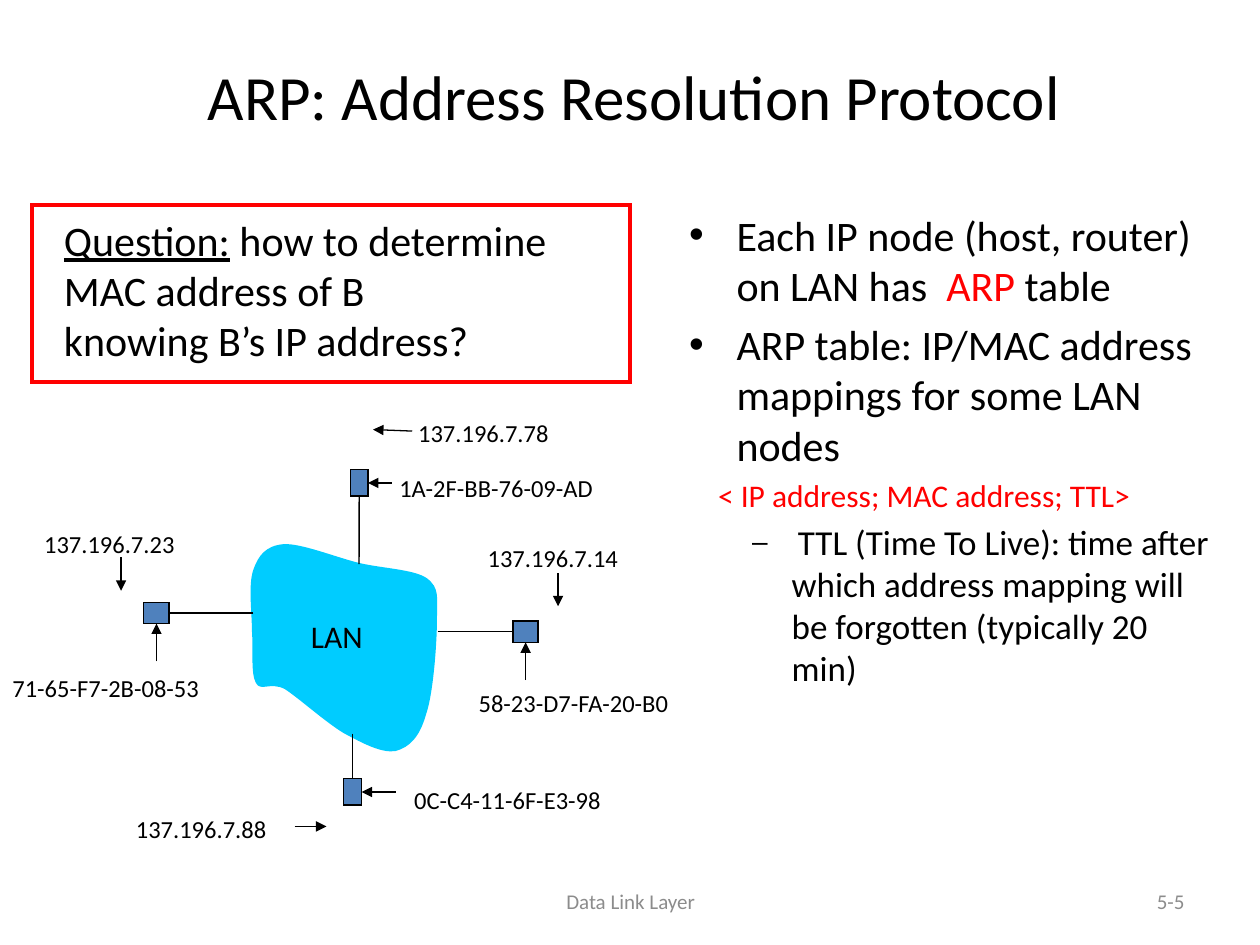
from lxml import etree
from pptx import Presentation
from pptx.dml.color import RGBColor
from pptx.enum.shapes import MSO_CONNECTOR, MSO_SHAPE
from pptx.enum.text import MSO_ANCHOR, MSO_AUTO_SIZE, PP_ALIGN
from pptx.oxml.ns import qn
from pptx.util import Cm, Pt

STRAIGHT = MSO_CONNECTOR.STRAIGHT
RECTANGLE = MSO_SHAPE.RECTANGLE
TOP, MIDDLE = MSO_ANCHOR.TOP, MSO_ANCHOR.MIDDLE
NO_AUTOFIT = MSO_AUTO_SIZE.NONE
LEFT, CENTER, RIGHT = PP_ALIGN.LEFT, PP_ALIGN.CENTER, PP_ALIGN.RIGHT

FONT = "Calibri"
BLACK, RED, GREY = "000000", "FF0000", "8C8C8C"
NODE_BLUE, LAN_CYAN = "4F81BD", "00CCFF"
SITE_TOP, SITE_LEFT, SITE_BOTTOM, SITE_RIGHT = range(4)
DIRECTIONS = {SITE_TOP: (0, -1), SITE_LEFT: (-1, 0),
              SITE_BOTTOM: (0, 1), SITE_RIGHT: (1, 0)}

TITLE = "ARP: Address Resolution Protocol"
POINTS = [
    (0, [("Each IP node (host, router) on LAN has  ", 24, BLACK),
         ("ARP ", 24, RED), ("table", 24, BLACK)]),
    (0, [("ARP table: IP/MAC address mappings for some LAN nodes", 24, BLACK)]),
    (0, [("< IP address; MAC address; TTL>", 18, RED)]),
    (1, [(" ", 16, BLACK),
         ("TTL (Time To Live): time after which address mapping "
          "will be forgotten (typically 20 min)", 20, BLACK)]),
]
UNBULLETED = 2
QUESTION_WORD = "Question:"
QUESTION = [" how to determine", "MAC address of B", "knowing B’s IP address?"]

LAN_START = (5.72, 10.97)
LAN_CURVES = [
    ((5.36, 11), (5.21, 11.2), (5.11, 11.48)),
    ((5, 11.79), (5.08, 12.34), (5.08, 12.73)),
    ((5.11, 13.11), (5.05, 13.56), (5.16, 13.77)),
    ((5.26, 13.95), (5.44, 13.74), (5.74, 13.89)),
    ((6.02, 14.07), (6.55, 14.55), (6.93, 14.78)),
    ((7.32, 14.99), (7.7, 15.19), (7.98, 15.14)),
    ((8.26, 15.06), (8.46, 14.86), (8.59, 14.4)),
    ((8.74, 13.97), (8.81, 12.93), (8.81, 12.47)),
    ((8.81, 12.01), (8.86, 11.86), (8.61, 11.66)),
    ((8.36, 11.48), (7.72, 11.46), (7.24, 11.35)),
    ((6.76, 11.23), (6.07, 10.95), LAN_START),
]

NODES = [
    {"box": (10.34, 12.52, 0.51, 0.43), "link": (SITE_LEFT, 1.52),
     "mac_arrow": (SITE_BOTTOM, 0.76)},
    {"box": (2.9, 12.14, 0.51, 0.43), "link": (SITE_RIGHT, 1.7),
     "mac_arrow": (SITE_BOTTOM, 0.76)},
    {"box": (7.06, 9.47, 0.36, 0.53), "link": (SITE_BOTTOM, 1.37),
     "mac_arrow": (SITE_RIGHT, 0.48)},
    {"box": (6.93, 15.7, 0.36, 0.53), "link": (SITE_TOP, 0.91),
     "mac_arrow": (SITE_RIGHT, 0.69)},
]
IP_ARROWS = [
    ((2.44, 11.23), (2.44, 11.91)),
    ((8.31, 8.69), (7.52, 8.66)),
    ((11.25, 11.56), (11.25, 12.22)),
    ((5.94, 16.66), (6.58, 16.66)),
]
MAC_LABELS = [
    ("1A-2F-BB-76-09-AD", 7.8, 9.42),
    ("58-23-D7-FA-20-B0", 9.4, 13.74),
    ("0C-C4-11-6F-E3-98", 8.1, 15.7),
    ("71-65-F7-2B-08-53", 0, 13.44),
]
IP_LABELS = [
    ("137.196.7.23", 0.64, 10.54),
    ("137.196.7.78", 8.18, 8.31),
    ("137.196.7.14", 9.58, 10.82),
    ("137.196.7.88", 2.49, 16.28),
]


def rgb(color):
    return RGBColor.from_string(color)


def style(run, size, color=BLACK):
    run.font.name, run.font.size = FONT, Pt(size)
    run.font.color.rgb = rgb(color)


def place(shape, box):
    shape.left, shape.top, shape.width, shape.height = map(Cm, box)


def add_text(slide, text, box, size, color=BLACK, align=LEFT, anchor=TOP):
    frame = slide.shapes.add_textbox(*map(Cm, box)).text_frame
    frame.word_wrap, frame.vertical_anchor = True, anchor
    frame.text = text
    for paragraph in frame.paragraphs:
        paragraph.alignment = align
        for run in paragraph.runs:
            style(run, size, color)
    return frame


def add_box(slide, box, line_color, line_width, fill=None):
    rectangle = slide.shapes.add_shape(RECTANGLE, *map(Cm, box))
    rectangle.shadow.inherit = False
    if fill:
        rectangle.fill.solid()
        rectangle.fill.fore_color.rgb = rgb(fill)
    else:
        rectangle.fill.background()
    rectangle.line.color.rgb = rgb(line_color)
    rectangle.line.width = Pt(line_width)
    etree.SubElement(rectangle.line._get_or_add_ln(), qn("a:miter"), lim="800000")
    return rectangle


def add_line(slide, start, end, arrow=False):
    line = slide.shapes.add_connector(STRAIGHT, *map(Cm, start + end))
    line.line.color.rgb = rgb(BLACK)
    line.line.width = Pt(0.75)
    if arrow:
        etree.SubElement(line.line._get_or_add_ln(), qn("a:tailEnd"), type="triangle")
    etree.SubElement(line._element.spPr, qn("a:effectLst"))
    return line


def add_lan(slide):
    builder = slide.shapes.build_freeform(*map(Cm, LAN_START))
    builder.add_line_segments(
        [tuple(map(Cm, point)) for curve in LAN_CURVES for point in curve], close=True)
    lan = builder.convert_to_shape()
    segments = list(lan._element.iter(qn("a:lnTo")))
    for first in range(0, len(segments), 3):
        curve = etree.Element(qn("a:cubicBezTo"))
        segments[first].addprevious(curve)
        for segment in segments[first:first + 3]:
            curve.append(segment[0])
            segment.getparent().remove(segment)
    lan.shadow.inherit = False
    lan.fill.solid()
    lan.fill.fore_color.rgb = rgb(LAN_CYAN)
    lan.line.fill.background()


def add_node(slide, box, link, mac_arrow):
    node = add_box(slide, box, BLACK, 0.75, NODE_BLUE)
    left, top, width, height = box
    for (side, length), arrow in ((link, False), (mac_arrow, True)):
        dx, dy = DIRECTIONS[side]
        joint = (left + width * (1 + dx) / 2, top + height * (1 + dy) / 2)
        far = (joint[0] + dx * length, joint[1] + dy * length)
        add_line(slide, far, joint, arrow).end_connect(node, side)


def fill_points(body):
    place(body, (13.64, 4.09, 11.07, 12.9))
    frame = body.text_frame
    frame.auto_size = NO_AUTOFIT
    for index, (level, pieces) in enumerate(POINTS):
        paragraph = frame.add_paragraph() if index else frame.paragraphs[0]
        paragraph.level = level
        if index == 0:
            paragraph.space_before = Pt(0)
        if index == UNBULLETED:
            properties = paragraph._p.get_or_add_pPr()
            properties.set("marL", str(Cm(0.58)))
            properties.set("indent", "0")
            etree.SubElement(properties, qn("a:buNone"))
        for text, size, color in pieces:
            run = paragraph.add_run()
            run.text = text
            style(run, size, color)


def main():
    deck = Presentation()
    deck.slide_width, deck.slide_height = Cm(25.4), Cm(19.05)
    slide = deck.slides.add_slide(deck.slide_layouts[1])

    title = slide.shapes.title
    place(title, (1.4, 0.66, 22.76, 2.51))
    title.text_frame.text = TITLE
    style(title.text_frame.paragraphs[0].runs[0], 36)
    fill_points(slide.placeholders[1])

    question = add_text(slide, "\n".join([QUESTION_WORD] + QUESTION[1:]),
                        (1.04, 4.19, 11.48, 3.3), 24)
    opening = question.paragraphs[0]
    opening.runs[0].font.underline = True
    rest = opening.add_run()
    rest.text = QUESTION[0]
    style(rest, 24)
    add_box(slide, (0.64, 4.14, 12.07, 3.56), RED, 2.25)

    add_lan(slide)
    for node in NODES:
        add_node(slide, **node)
    for start, end in IP_ARROWS:
        add_line(slide, start, end, arrow=True)
    for labels, width in ((MAC_LABELS, 5.1), (IP_LABELS, 3.43)):
        for text, left, top in labels:
            add_text(slide, text, (left, top, width, 0.84), 14)
    add_text(slide, "LAN", (6.02, 12.32, 1.96, 1.02), 18)

    add_text(slide, "Data Link Layer", (8.69, 17.65, 8.05, 1.02), 12, GREY, CENTER, MIDDLE)
    add_text(slide, "5-5", (18.21, 17.65, 5.92, 1.02), 12, GREY, RIGHT, MIDDLE)
    deck.save("out.pptx")


if __name__ == "__main__":
    main()
